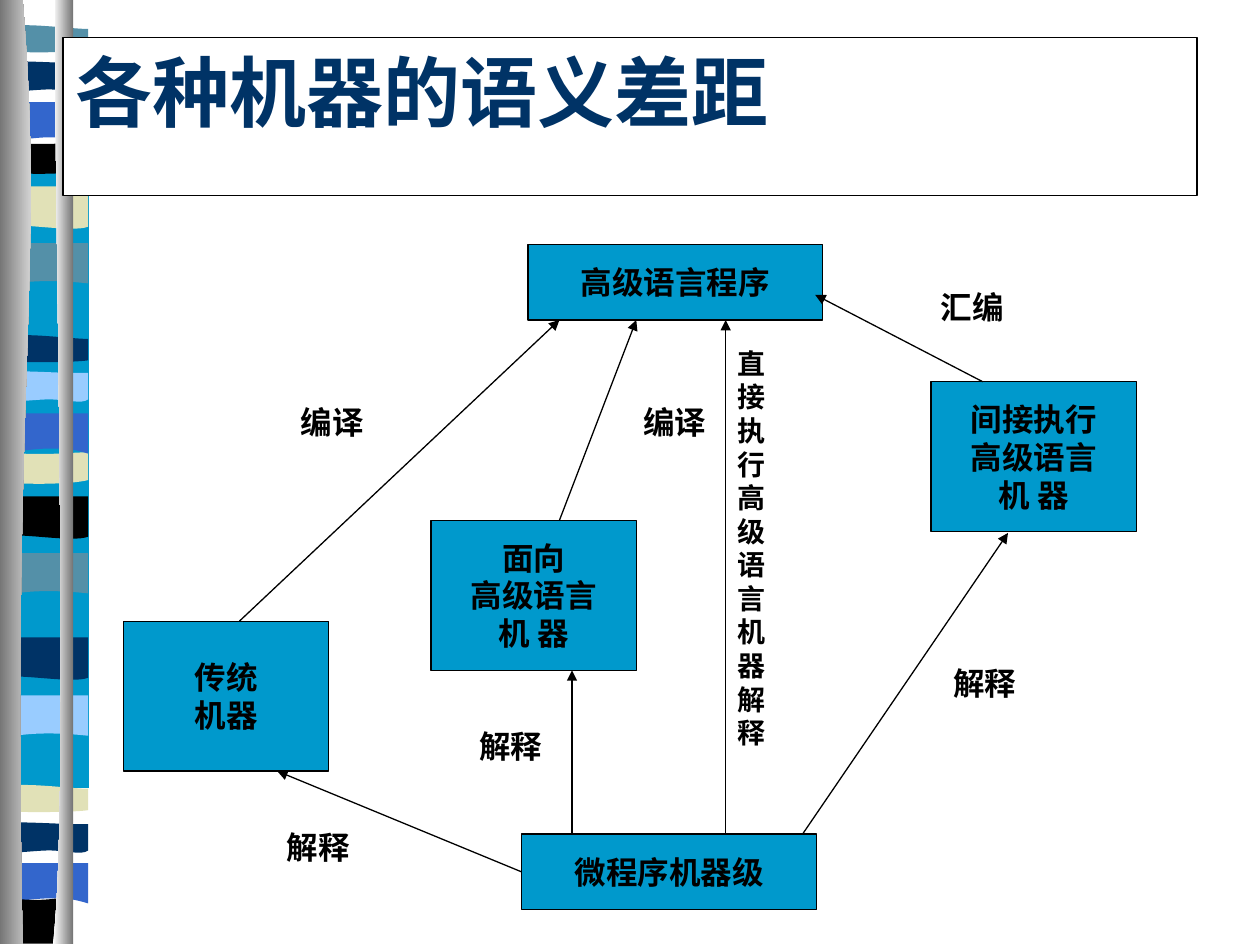
import pptx
import pptx.util
import pptx.dml.color
import pptx.enum.shapes
import pptx.enum.text
import pptx.oxml.ns
from lxml import etree

# ---- Content (100 px to the inch) ----
PX = 9144
BLUE, STEEL, SAND, NAVY = "0099CC", "5490A8", "E1E1B7", "003366"
ROYAL, SKY, BLACK, WHITE, GREY = "3366CC", "99CCFF", "000000", "FFFFFF", "767676"

TITLE = "各种机器的语义差距"
TITLE_BOX = (50, 30, 900, 125)
WIDE, TALL, LABEL = (234, 60), (163, 119), (71, 40)
BOXES = [  # left, top, size, lines
    (414, 662, WIDE, ["微程序机器级"]),
    (419, 194, WIDE, ["高级语言程序"]),
    (342, 413, TALL, ["面向", "高级语言", "机 器"]),
    (98, 493, TALL, ["传统", "机器"]),
    (739, 303, TALL, ["间接执行", "高级语言", "机 器"]),
]
ARROWS = [
    (190, 493, 444, 254), (444, 413, 505, 254), (414, 692, 220, 612),
    (454, 662, 454, 532), (576, 662, 576, 254), (637, 662, 800, 423),
    (780, 303, 647, 234),
]
LABELS = [
    (217, 652, "解释"), (370, 572, "解释"), (746, 522, "解释"),
    (736, 224, "汇编"), (228, 315, "编译"), (500, 315, "编译"),
]
VERTICAL_BOX = (575, 270, 43, 333)
VERTICAL_TEXT = "直接执行高级语言机器解释"

# Outlines: a pair is a corner, a triple of pairs is a Bezier curve
BANDS = {
    "dip": [(70, 0), (70, 32), ((14, 26), (2, 37), (0, 32)), (0, 0)],
    "swell": [(70, 0), (70, 32), ((57, 37), (14, 28), (0, 32)), (0, 0)],
    "lens": [(70, 3), (70, 20), ((57, 22), (2, 22), (0, 20)), (0, 3),
             ((0, 0), (7, 0), (20, 0)), ((36, 0), (60, 3), (70, 3))],
    "bowl": [(70, 0), (70, 22), ((57, 26), (2, 26), (0, 22)), (0, 0),
             ((39, 3), (54, 0), (70, 0))],
    "arch": [(70, 0), (70, 32), ((57, 28), (52, 28), (39, 28)),
             ((26, 28), (2, 32), (0, 32)), (0, 0)],
    "flag": [(70, 3), (70, 24), ((65, 28), (52, 24), (39, 24)),
             ((26, 24), (0, 28), (0, 24)), (0, 3), ((1, 0), (45, 3), (58, 3))],
}
STRIPES = [  # band, top, colour
    ("dip", 193, STEEL), ("swell", 148, SAND), ("lens", 20, STEEL),
    ("bowl", 113, BLACK), ("arch", 81, ROYAL), ("flag", 47, NAVY),
    ("dip", 439, STEEL), ("swell", 394, BLACK), ("lens", 266, NAVY),
    ("bowl", 359, SAND), ("arch", 328, ROYAL), ("flag", 293, SKY),
    ("dip", 552, SKY), ("swell", 506, NAVY), ("lens", 623, SAND),
    ("arch", 685, ROYAL), ("flag", 651, NAVY),
]
BACKING = [(71, 130), (71, 625), (0, 625), (0, 130)]
FOOT = [(57, 712), (57, 749), (2, 749), (2, 712), ((35, 717), (45, 712), (57, 712))]
COLUMNS = [  # outline, left colour, right colour
    ([(18, 0), ((36, 216), (9, 296), (18, 749)), (0, 749), (0, 0)], GREY, WHITE),
    ([(44, 0), ((42, 125), (56, 646), (42, 749)), (58, 749), (58, 0)], WHITE, GREY),
]


# ---- Helpers ----
qn = pptx.oxml.ns.qn


def rgb(value):
    return pptx.dml.color.RGBColor.from_string(value)


def emu(*lengths):
    return [v * PX for v in lengths]


def paint(sp, fill, line=None):
    sp.fill.solid()
    sp.fill.fore_color.rgb = rgb(fill)
    if line:
        sp.line.color.rgb = rgb(line)
        sp.line.width = pptx.util.Pt(0.75)
    else:
        sp.line.fill.background()


def outline_shape(outline, top=0, fill=BLACK):
    parts = [part if isinstance(part[0], tuple) else (part,) for part in outline]
    points = [(x, y + top) for part in parts for x, y in part]
    builder = s.shapes.build_freeform(*points[0], scale=PX)
    builder.add_line_segments(points[1:], close=True)
    sp = builder.convert_to_shape()
    sp.shadow.inherit = False
    paint(sp, fill)
    # Join the three points of each curve into one Bezier segment
    segments = iter(list(sp._element.iter(qn("a:lnTo"))))
    for part in parts[1:]:
        steps = [next(segments) for _ in part]
        if len(steps) == 3:
            curve = etree.Element(qn("a:cubicBezTo"))
            steps[0].addprevious(curve)
            for step in steps:
                curve.append(step[0])
                step.getparent().remove(step)
    return sp


def write(sp, lines, size=18, color=BLACK, font="Cabin", align="CENTER", anchor="MIDDLE", wrap=False):
    tf = sp.text_frame
    tf.word_wrap = wrap
    tf.vertical_anchor = getattr(pptx.enum.text.MSO_ANCHOR, anchor)
    style = {"size": pptx.util.Pt(size), "name": font, "bold": True}
    for i, line in enumerate(lines):
        p = tf.add_paragraph() if i else tf.paragraphs[0]
        p.alignment = getattr(pptx.enum.text.PP_ALIGN, align)
        r = p.add_run()
        r.text = line
        for key, value in style.items():
            setattr(r.font, key, value)
        r.font.color.rgb = rgb(color)


prs = pptx.Presentation()
prs.slide_width, prs.slide_height = emu(1000, 750)
s = prs.slides.add_slide(prs.slide_layouts[5])

# ---- Striped margin and its two columns ----
outline_shape(BACKING, fill=BLUE)
for band, top, color in STRIPES:
    outline_shape(BANDS[band], top, color)
outline_shape(FOOT)
for outline, left, right in COLUMNS:
    sp = outline_shape(outline)
    sp.fill.gradient()
    sp.fill.gradient_angle = 0
    for stop, position, color in zip(sp.fill.gradient_stops, (0, 1), (left, right)):
        stop.color.rgb = rgb(color)
        stop.position = position

# ---- Title, in front of the margin ----
title = s.shapes.title
title.left, title.top, title.width, title.height = emu(*TITLE_BOX)
paint(title, WHITE, BLACK)
write(title, [TITLE], 44, NAVY, "Times New Roman", "LEFT", "TOP", True)
s.shapes._spTree.append(title._element)

# ---- Machine boxes ----
for left, top, size, lines in BOXES:
    sp = s.shapes.add_shape(pptx.enum.shapes.MSO_SHAPE.RECTANGLE, *emu(left, top, *size))
    sp.shadow.inherit = False
    paint(sp, BLUE, BLACK)
    write(sp, lines)

# ---- Arrows ----
for ends in ARROWS:
    cn = s.shapes.add_connector(pptx.enum.shapes.MSO_CONNECTOR.STRAIGHT, *emu(*ends))
    cn.line.color.rgb = rgb(BLACK)
    cn.line.width = pptx.util.Pt(0.75)
    etree.SubElement(cn.line._get_or_add_ln(), qn("a:tailEnd"), type="triangle")
    etree.SubElement(cn._element.spPr, qn("a:effectLst"))

# ---- Arrow labels ----
for left, top, text in LABELS:
    write(s.shapes.add_textbox(*emu(left, top, *LABEL)), [text], anchor="TOP")
write(s.shapes.add_textbox(*emu(*VERTICAL_BOX)), VERTICAL_TEXT, 16, anchor="TOP")

prs.save("out.pptx")
